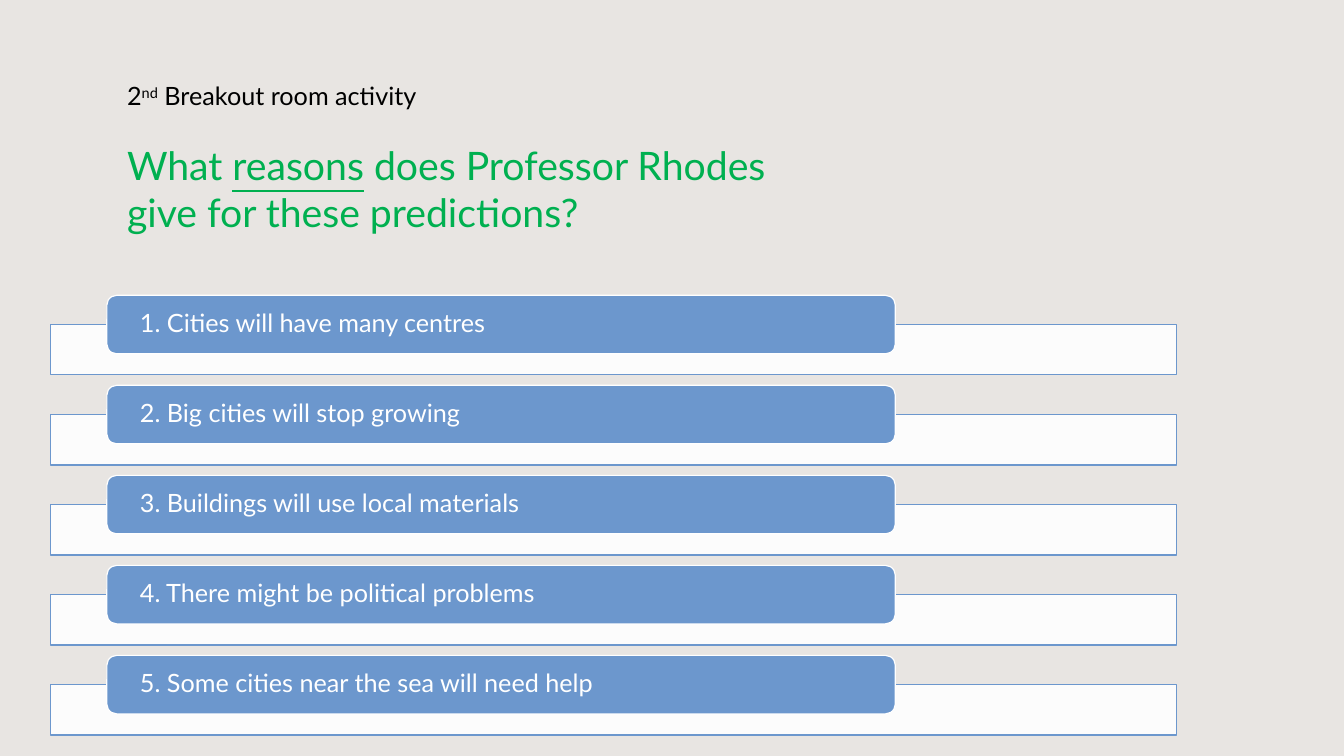
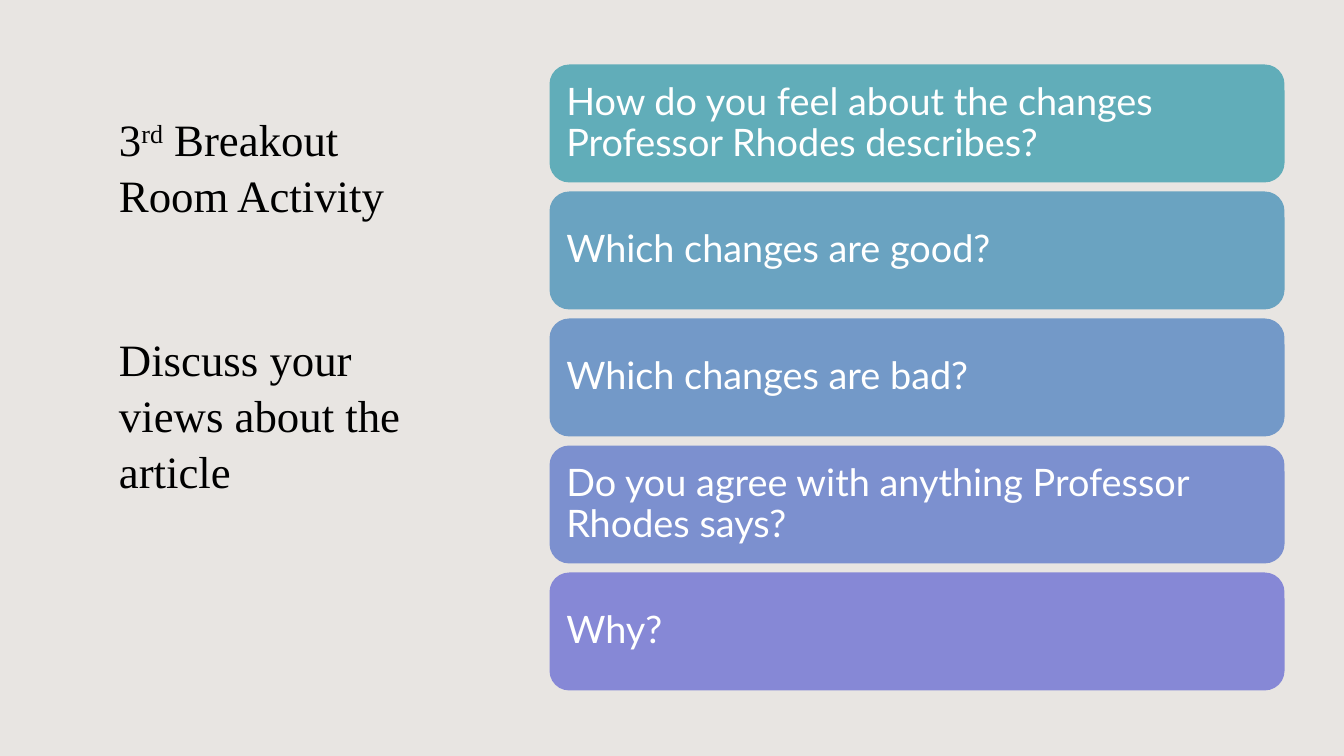
"""Build two breakout room activity slides."""
from pptx import Presentation
from pptx.dml.color import RGBColor
from pptx.enum.shapes import MSO_SHAPE as Shape
from pptx.enum.text import MSO_ANCHOR as Anchor, MSO_AUTO_SIZE as AutoSize, PP_ALIGN as Align
from pptx.oxml.ns import qn
from pptx.util import Inches, Pt
from lxml import etree

COLORS = {
    "background": "E8E5E2",
    "black": "000000",
    "white": "FFFFFF",
    "green": "00B050",
    "blue": "6C97CD",
}
SANS, SERIF = "Lato", "Times New Roman"

REASONS_TITLE = [
    {"runs": [("2", ""), ("nd", "super"), (" Breakout room activity", "")],
     "size": 18, "color": "black"},
    {"runs": [("What ", ""), ("reasons", "underline"),
              (" does Professor Rhodes give for these predictions?", "")],
     "size": 28, "color": "green", "before": 22},
]
REASONS = [
    "Cities will have many centres",
    "Big cities will stop growing",
    "Buildings will use local materials",
    "There might be political problems",
    "Some cities near the sea will need help",
]
VIEWS_TITLE = [
    {"runs": [("3", ""), ("rd", "super"), (" Breakout Room Activity", "")],
     "size": 32, "color": "black", "spacing": 1.04},
    {"runs": [("Discuss your views about the article", "")],
     "size": 32, "color": "black", "spacing": 1.04, "before": 77},
]
QUESTIONS = [
    ("How do you feel about the changes Professor Rhodes describes?", "61ADB9"),
    ("Which changes are good?", "6AA3C1"),
    ("Which changes are bad?", "7399C8"),
    ("Do you agree with anything Professor Rhodes says?", "7C90CF"),
    ("Why?", "8688D6"),
]


def rgb(name):
    return RGBColor.from_string(COLORS.get(name, name))


def style_font(para, name, size, color):
    para.font.name = name
    para.font.size = Pt(size)
    para.font.color.rgb = rgb(color)


def add_page(deck, title, place, font):
    """Add a slide whose title placeholder sits at the given place."""
    page = deck.slides.add_slide(deck.slide_layouts[5])
    box = page.shapes.title
    box.left, box.top, box.width, box.height = map(Inches, place)
    frame = box.text_frame
    frame.word_wrap = True
    frame.auto_size = AutoSize.NONE
    frame.vertical_anchor = Anchor.TOP
    for index, item in enumerate(title):
        para = frame.add_paragraph() if index else frame.paragraphs[0]
        para.alignment = Align.LEFT
        para.line_spacing = item.get("spacing", 1.0)
        para.space_before = Pt(item.get("before", 0))
        style_font(para, font, item["size"], item["color"])
        for text, effect in item["runs"]:
            span = para.add_run()
            span.text = text
            if effect == "underline":
                span.font.underline = True
            elif effect == "super":
                span._r.get_or_add_rPr().set("baseline", "30000")
    return page


def add_panel(page, kind, place, fill, line=None):
    panel = page.shapes.add_shape(kind, *map(Inches, place))
    panel.shadow.inherit = False
    panel.fill.solid()
    panel.fill.fore_color.rgb = rgb(fill)
    if line:
        panel.line.color.rgb = rgb(line)
        panel.line.width = Pt(0.85)
    else:
        panel.line.fill.background()
    return panel


def set_label(panel, text, size, side, edge):
    frame = panel.text_frame
    frame.word_wrap = True
    frame.vertical_anchor = Anchor.MIDDLE
    frame.margin_left = frame.margin_right = Inches(side)
    frame.margin_top = frame.margin_bottom = Inches(edge)
    para = frame.paragraphs[0]
    para.text = text
    para.alignment = Align.LEFT
    para.line_spacing = 0.9
    style_font(para, SANS, size, "white")


def set_opacity(panel, percent):
    color = panel.fill._xPr.find(qn("a:solidFill"))[0]
    etree.SubElement(color, qn("a:alpha")).set("val", str(percent * 1000))


def build_reasons(deck):
    page = add_page(deck, REASONS_TITLE, (1.16, 0.75, 6.67, 1.95), SANS)
    top, pitch = 2.93, 0.893
    for index, reason in enumerate(REASONS):
        y = top + index * pitch
        band = add_panel(page, Shape.RECTANGLE, (0.5, y + 0.29, 11.17, 0.5), "white", "blue")
        set_opacity(band, 90)
        label = add_panel(page, Shape.ROUNDED_RECTANGLE, (1.06, y, 7.82, 0.58), "blue", "white")
        set_label(label, f"{index + 1}. {reason}", 18, 0.3, 0)


def build_views(deck):
    page = add_page(deck, VIEWS_TITLE, (1.08, 1.04, 3.06, 5.13), SERIF)
    top, pitch = 0.64, 1.26
    for index, (question, color) in enumerate(QUESTIONS):
        place = (5.45, top + index * pitch, 7.29, 1.17)
        card = add_panel(page, Shape.ROUNDED_RECTANGLE, place, color)
        set_label(card, question, 27, 0.11, 0.11)


def main():
    deck = Presentation()
    deck.slide_width, deck.slide_height = Inches(13.33), Inches(7.5)
    backdrop = deck.slide_master.background.fill
    backdrop.solid()
    backdrop.fore_color.rgb = rgb("background")
    build_reasons(deck)
    build_views(deck)
    deck.save("out.pptx")


if __name__ == "__main__":
    main()
